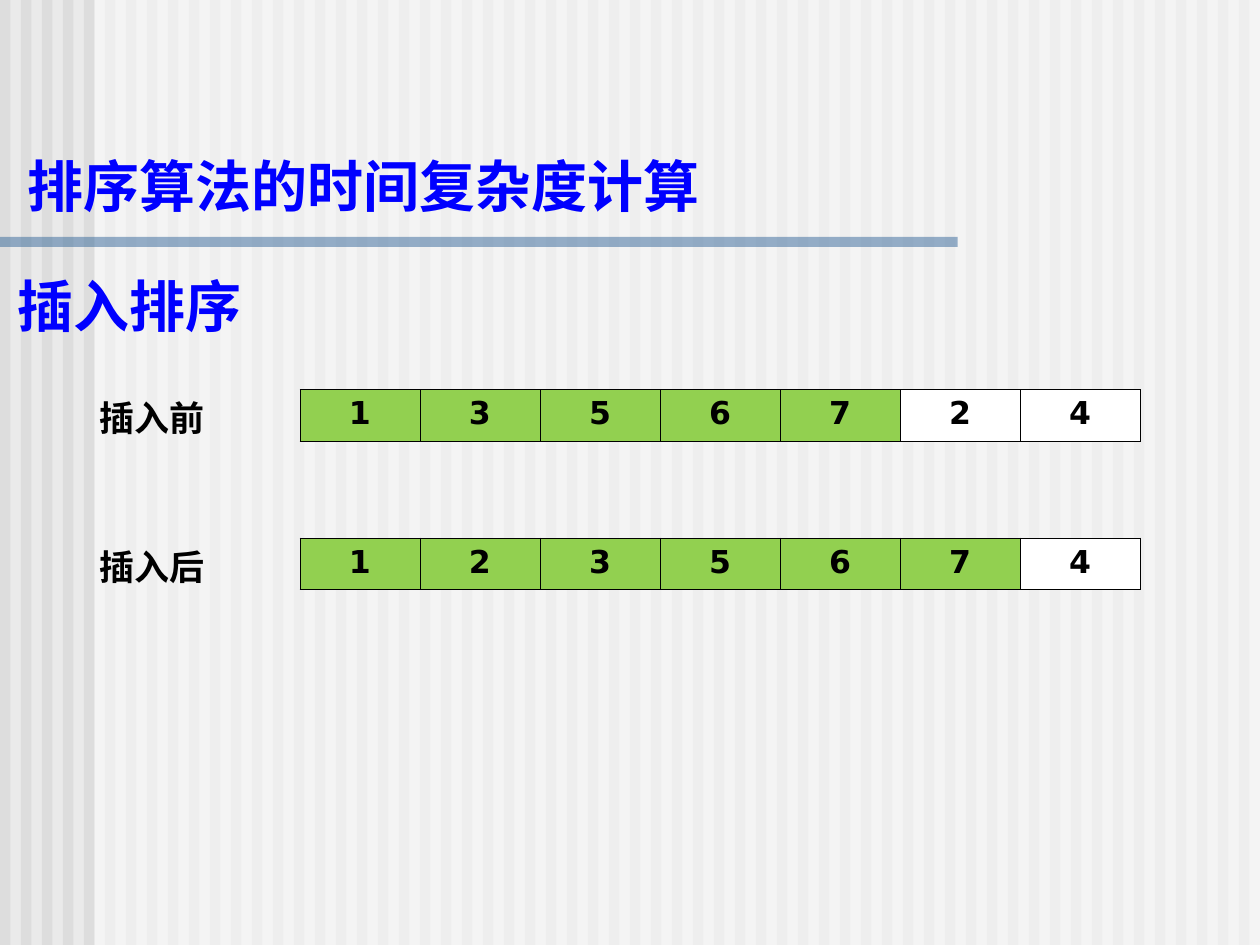
from dataclasses import dataclass

from lxml import etree
from pptx import Presentation
from pptx.dml.color import RGBColor
from pptx.enum.shapes import MSO_SHAPE
from pptx.enum.text import MSO_ANCHOR, MSO_AUTO_SIZE, PP_ALIGN
from pptx.oxml.ns import qn
from pptx.util import Inches, Pt

RECT = MSO_SHAPE.RECTANGLE
BOTTOM = MSO_ANCHOR.BOTTOM
TOP = MSO_ANCHOR.TOP
GROW = MSO_AUTO_SIZE.SHAPE_TO_FIT_TEXT
LEFT, CENTER = PP_ALIGN.LEFT, PP_ALIGN.CENTER

SLIDE_W, SLIDE_H = 10, 7.5
STRIPES = 60
PITCH = SLIDE_W / STRIPES  # a stripe and its gap are equally wide
ARRAY_X, ARRAY_W, ARRAY_H = 2.38, 6.67, 0.41
LABEL_X, LABEL_W, LABEL_H = 0.69, 1.89, 0.44
HEADING_W, HEADING_H = 8.93, 0.64

# label, top, values, length of the sorted part
STATES = [
    ("插入前", 3.09, (1, 3, 5, 6, 7, 2, 4), 5),
    ("插入后", 4.27, (1, 2, 3, 5, 6, 7, 4), 6),
]


@dataclass(frozen=True)
class Theme:
    font: str = "DejaVu Sans"
    background: str = "EAEAEA"
    stripe: str = "DDDDDD"
    veil: str = "FFFFFF"
    rule: str = "336699"
    heading: str = "0000FF"
    ink: str = "000000"
    sorted_cell: str = "92D050"
    unsorted_cell: str = "FFFFFF"
    heading_pt: int = 32
    label_pt: int = 20
    cell_pt: int = 18
    border_pt: float = 0.45


THEME = Theme()


def set_fill(fill, color):
    fill.solid()
    fill.fore_color.rgb = RGBColor.from_string(color)


def add_block(s, x, y, w, h, color, opacity=100):
    """Borderless rectangle, optionally see-through."""
    sp = s.shapes.add_shape(RECT, Inches(x), Inches(y), Inches(w), Inches(h))
    sp.shadow.inherit = False
    sp.line.fill.background()
    set_fill(sp.fill, color)
    if opacity < 100:
        clr = sp.element.spPr.find(".//" + qn("a:srgbClr"))
        etree.SubElement(clr, qn("a:alpha"), val=str(opacity * 1000))


def add_run(p, text, size, color, align=LEFT):
    p.alignment = align
    r = p.add_run()
    r.text = text
    r.font.name = THEME.font
    r.font.size = Pt(size)
    r.font.bold = True
    r.font.color.rgb = RGBColor.from_string(color)


def write_box(sp, x, y, w, h, text, size, color):
    """Place a text shape and fill it with one bottom-anchored line."""
    sp.left, sp.top, sp.width, sp.height = map(Inches, (x, y, w, h))
    tf = sp.text_frame
    tf.word_wrap = True
    tf.auto_size = GROW
    tf.vertical_anchor = BOTTOM
    add_run(tf.paragraphs[0], text, size, color)


def add_text(s, *args):
    write_box(s.shapes.add_textbox(0, 0, 0, 0), *args)


def set_borders(cell):
    tcPr = cell._tc.get_or_add_tcPr()
    for i, side in enumerate(("a:lnL", "a:lnR", "a:lnT", "a:lnB")):
        ln = etree.Element(qn(side), w=str(Pt(THEME.border_pt)))
        fill = etree.SubElement(ln, qn("a:solidFill"))
        etree.SubElement(fill, qn("a:srgbClr"), val=THEME.ink)
        tcPr.insert(i, ln)


def add_array(s, y, values, sorted_count):
    """One-row table whose sorted prefix is highlighted."""
    frame = s.shapes.add_table(1, len(values), Inches(ARRAY_X), Inches(y),
                               Inches(ARRAY_W), Inches(ARRAY_H))
    table = frame.table
    table.first_row = table.horz_banding = False
    for i, value in enumerate(values):
        cell = table.cell(0, i)
        cell.vertical_anchor = TOP
        set_fill(cell.fill, THEME.sorted_cell if i < sorted_count else THEME.unsorted_cell)
        set_borders(cell)
        add_run(cell.text_frame.paragraphs[0], str(value), THEME.cell_pt, THEME.ink, CENTER)


def add_backdrop(s):
    set_fill(s.background.fill, THEME.background)
    for i in range(STRIPES):
        add_block(s, i * PITCH, 0, PITCH / 2, SLIDE_H, THEME.stripe)
    add_block(s, 0.75, 0, SLIDE_W - 0.75, SLIDE_H, THEME.veil, 50)
    add_block(s, 0, 1.88, 7.6, 0.08, THEME.rule, 50)


def add_title(s, text):
    title = s.shapes.title
    title.element.getparent().append(title.element)  # in front of the backdrop
    write_box(title, 0.12, 1.15, HEADING_W, HEADING_H, text, THEME.heading_pt, THEME.heading)


def main():
    prs = Presentation()
    prs.slide_width, prs.slide_height = Inches(SLIDE_W), Inches(SLIDE_H)
    s = prs.slides.add_slide(prs.slide_layouts[5])

    # Backdrop and headings
    add_backdrop(s)
    add_title(s, "排序算法的时间复杂度计算")
    add_text(s, 0.04, 2.1, HEADING_W, HEADING_H, "插入排序", THEME.heading_pt, THEME.heading)

    # Array before and after the insertion
    for label, y, values, sorted_count in STATES:
        add_array(s, y, values, sorted_count)
        add_text(s, LABEL_X, y, LABEL_W, LABEL_H, label, THEME.label_pt, THEME.ink)

    prs.save("out.pptx")


if __name__ == "__main__":
    main()
